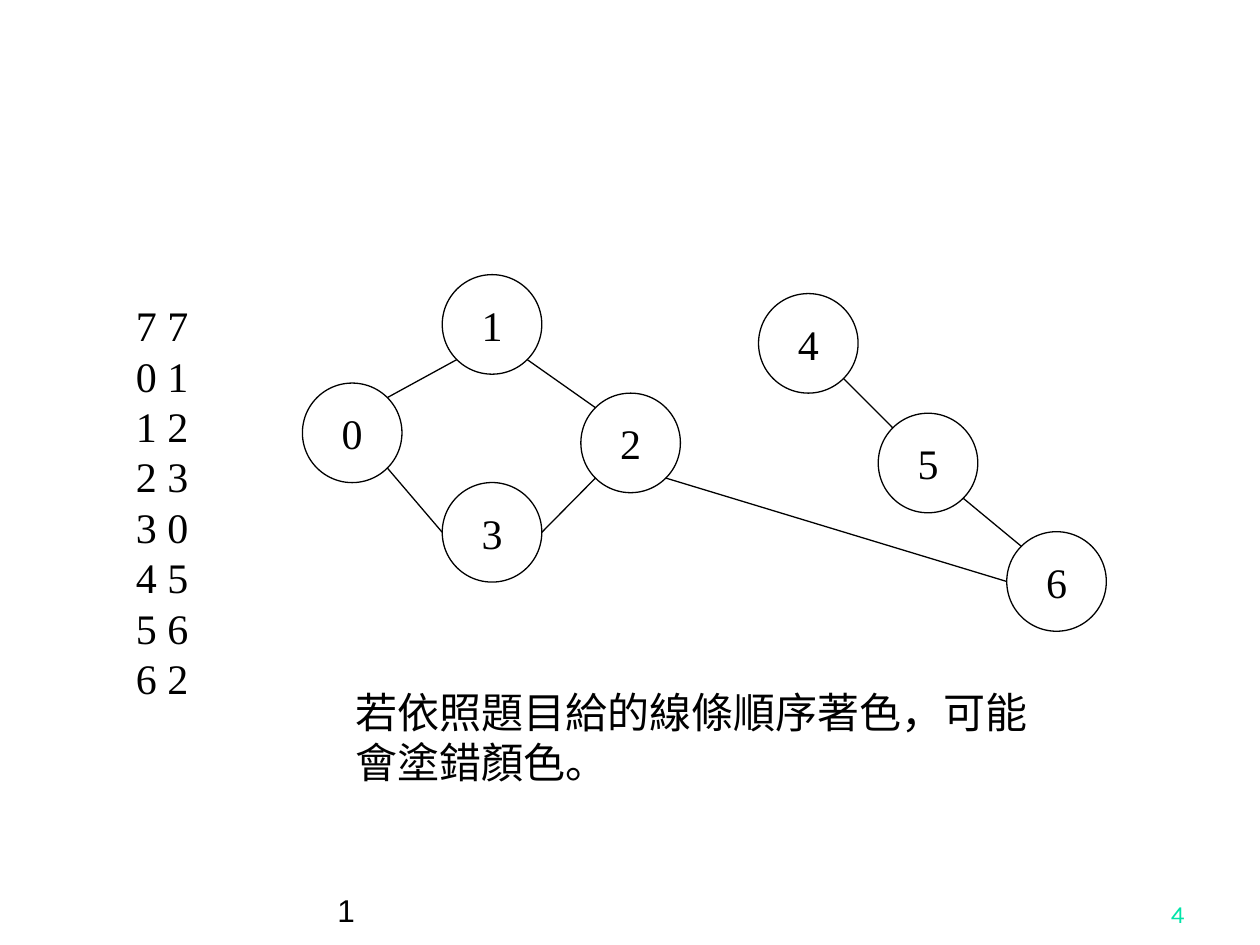
from collections import namedtuple
from math import sqrt

from lxml import etree
from pptx import Presentation
from pptx import util as u
from pptx.dml.color import RGBColor
from pptx.enum import shapes, text
from pptx.oxml import ns

Style = namedtuple("Style", "font size color leading")
THEME = {
    "ink": "000000",
    "paper": "FFFFFF",
    "line": 0.75,
    "graph": Style("Times New Roman", 24, "000000", 28.8),
    "footer": Style("Arial", 18, "000000", None),
    "number": Style("Karla", 14, "00E4A8", None),
}

WIDTH, HEIGHT = 10, 7.5
DIAMETER = 0.79
INPUT_LINES = ["7 7", "0 1", "1 2", "2 3", "3 0", "4 5", "5 6", "6 2"]
NODES = {
    "0": (2.4, 3.04),
    "1": (3.51, 2.18),
    "2": (4.61, 3.12),
    "3": (3.51, 3.83),
    "4": (6.02, 2.33),
    "5": (6.97, 3.28),
    "6": (7.99, 4.22),
}
EDGES = [
    ("0", "top right", "1", "bottom left"),
    ("1", "bottom right", "2", "top left"),
    ("2", "bottom left", "3", "right"),
    ("0", "bottom right", "3", "left"),
    ("4", "bottom right", "5", "top left"),
    ("5", "bottom right", "6", "top left"),
    ("2", "bottom right", "6", "left"),
]
DIRECTIONS = {"top": (0, -1), "bottom": (0, 1), "left": (-1, 0), "right": (1, 0)}
TOP, MIDDLE, BOTTOM = text.MSO_ANCHOR.TOP, text.MSO_ANCHOR.MIDDLE, text.MSO_ANCHOR.BOTTOM
LEFT, CENTER, RIGHT = text.PP_ALIGN.LEFT, text.PP_ALIGN.CENTER, text.PP_ALIGN.RIGHT
TEXTS = [
    (INPUT_LINES, (0.98, 2.33, 0.85, 3.3), "graph", TOP, LEFT),
    (["若依照題目給的線條順序著色，可能會塗錯顏色。"], (2.72, 5.4, 5.67, 0.9), "graph", TOP, LEFT),
    (["1"], (2.58, 6.92, 5.42, 0.5), "footer", BOTTOM, LEFT),
    (["4"], (7.42, 6.92, 2.08, 0.5), "number", BOTTOM, RIGHT),
]


def write(shape, lines, style, anchor, align, wrap=True):
    frame = shape.text_frame
    frame.word_wrap = wrap
    frame.vertical_anchor = anchor
    for index, line in enumerate(lines):
        para = frame.add_paragraph() if index else frame.paragraphs[0]
        para.alignment = align
        if style.leading:
            para.line_spacing = u.Pt(style.leading)
        span = para.add_run()
        span.text = line
        span.font.name = style.font
        span.font.size = u.Pt(style.size)
        span.font.color.rgb = RGBColor.from_string(style.color)


def draw_outline(line):
    line.color.rgb = RGBColor.from_string(THEME["ink"])
    line.width = u.Pt(THEME["line"])


def add_node(slide, label, corner):
    left, top = map(u.Inches, corner)
    size = u.Inches(DIAMETER)
    node = slide.shapes.add_shape(shapes.MSO_SHAPE.OVAL, left, top, size, size)
    node.shadow.inherit = False
    node.fill.solid()
    node.fill.fore_color.rgb = RGBColor.from_string(THEME["paper"])
    draw_outline(node.line)
    write(node, [label], THEME["graph"], MIDDLE, CENTER, wrap=False)


def rim_point(label, side):
    steps = [DIRECTIONS[word] for word in side.split()]
    reach = DIAMETER / 2 / sqrt(len(steps))
    return [
        u.Inches(start + DIAMETER / 2 + reach * sum(step))
        for start, step in zip(NODES[label], zip(*steps))
    ]


def add_edge(slide, source, source_side, target, target_side):
    edge = slide.shapes.add_connector(
        shapes.MSO_CONNECTOR.STRAIGHT,
        *rim_point(source, source_side),
        *rim_point(target, target_side),
    )
    draw_outline(edge.line)
    etree.SubElement(edge._element.spPr, ns.qn("a:effectLst"))


def main():
    deck = Presentation()
    deck.slide_width, deck.slide_height = u.Inches(WIDTH), u.Inches(HEIGHT)
    page = deck.slides.add_slide(deck.slide_layouts[6])
    for label, corner in NODES.items():
        add_node(page, label, corner)
    for edge in EDGES:
        add_edge(page, *edge)
    for lines, place, style, anchor, align in TEXTS:
        box = page.shapes.add_textbox(*map(u.Inches, place))
        write(box, lines, THEME[style], anchor, align)
    deck.save("out.pptx")


if __name__ == "__main__":
    main()
